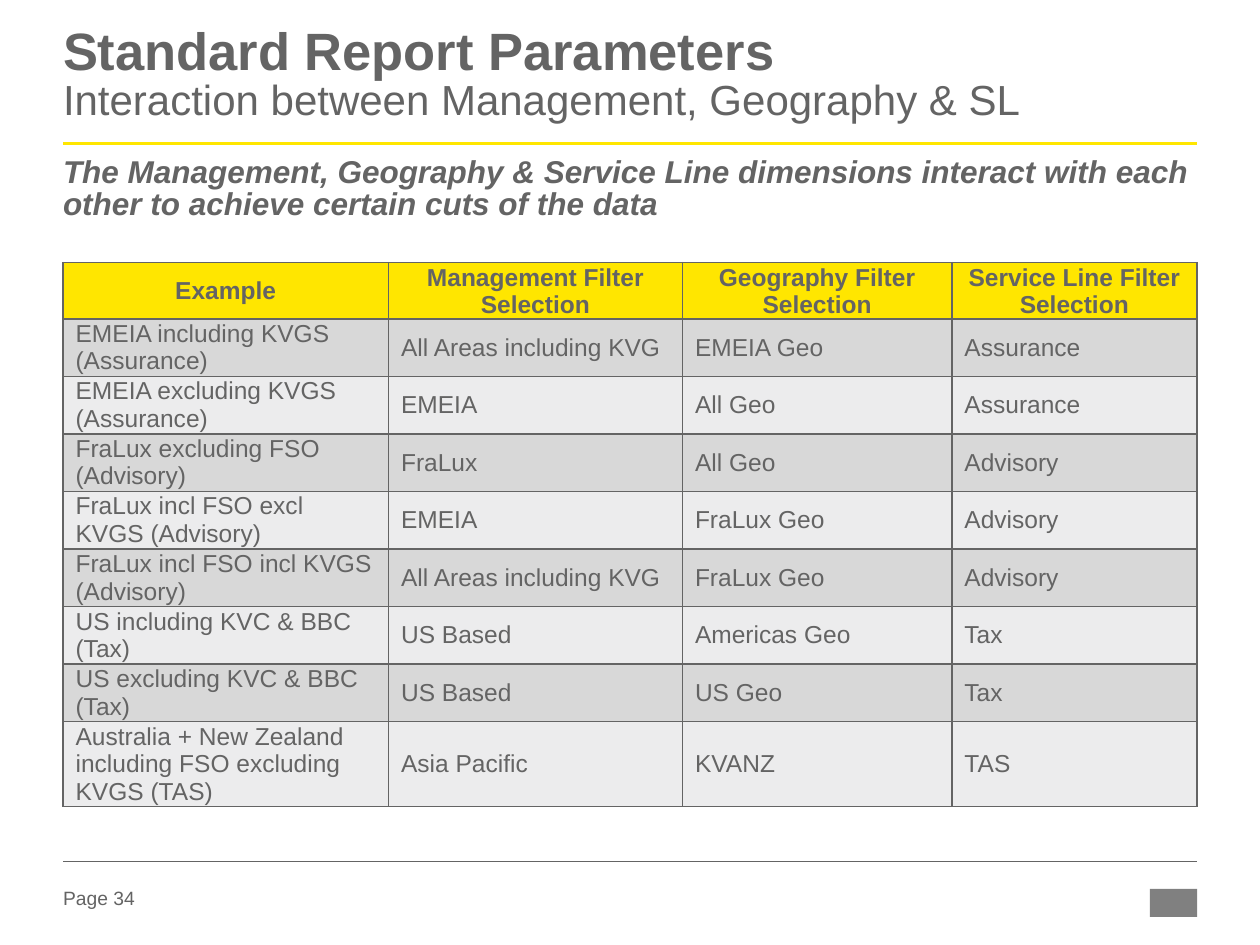
from lxml.etree import SubElement
from pptx import Presentation
from pptx.dml.color import RGBColor
from pptx.enum.shapes import MSO_CONNECTOR, MSO_SHAPE
from pptx.enum.text import MSO_ANCHOR, MSO_AUTO_SIZE, PP_ALIGN
from pptx.oxml.ns import qn
from pptx.util import Pt

COLORS = {
    "text": "646464",
    "accent": "FFE600",
    "dark": "D8D8D8",
    "light": "ECECED",
    "mark": "808080",
}
LEFT, WIDTH = 36, 648
COLS = [186, 168, 154, 140]
HEAD_H, ROW_H, LAST_H = 32, 32.9, 48.6

HEADS = ["Example", "Management Filter Selection",
         "Geography Filter Selection", "Service Line Filter Selection"]
ROWS = [
    ["EMEIA including KVGS (Assurance)", "All Areas including KVG", "EMEIA Geo", "Assurance"],
    ["EMEIA excluding KVGS (Assurance)", "EMEIA", "All Geo", "Assurance"],
    ["FraLux excluding FSO (Advisory)", "FraLux", "All Geo", "Advisory"],
    ["FraLux incl FSO excl KVGS (Advisory)", "EMEIA", "FraLux Geo", "Advisory"],
    ["FraLux incl FSO incl KVGS (Advisory)", "All Areas including KVG", "FraLux Geo", "Advisory"],
    ["US including KVC & BBC (Tax)", "US Based", "Americas Geo", "Tax"],
    ["US excluding KVC & BBC (Tax)", "US Based", "US Geo", "Tax"],
    ["Australia + New Zealand including FSO excluding KVGS (TAS)",
     "Asia Pacific", "KVANZ", "TAS"],
]


def color(name):
    return RGBColor.from_string(COLORS[name])


def style(font, size, bold=False, italic=False):
    font.name = "Arial"
    font.size = Pt(size)
    font.bold = bold
    font.italic = italic
    font.color.rgb = color("text")


def place(shape, top, height, width=WIDTH, anchor=MSO_ANCHOR.TOP):
    """Put a text shape at the left margin, without insets."""
    shape.left, shape.top = Pt(LEFT), Pt(top)
    shape.width, shape.height = Pt(width), Pt(height)
    frame = shape.text_frame
    frame.margin_left = frame.margin_right = 0
    frame.margin_top = frame.margin_bottom = 0
    frame.auto_size = MSO_AUTO_SIZE.NONE
    frame.word_wrap = True
    frame.vertical_anchor = anchor
    return frame.paragraphs[0]


def add_title(slide):
    para = place(slide.shapes.title, 16, 67)
    para.alignment = PP_ALIGN.LEFT
    para.line_spacing = 0.85
    run = para.add_run()
    run.text = "Standard Report Parameters"
    style(run.font, 30, bold=True)
    para.add_line_break()
    run = para.add_run()
    run.text = "Interaction between Management, Geography & SL"
    style(run.font, 24)


def add_lead(slide):
    para = place(slide.placeholders[1], 90, 42)
    para.text = ("The Management, Geography & Service Line dimensions interact "
                 "with each other to achieve certain cuts of the data")
    para.line_spacing = 0.85
    para.space_before, para.space_after = Pt(0), Pt(6)
    props = para._p.get_or_add_pPr()
    props.set("marL", "0")
    props.set("indent", "0")
    SubElement(props, qn("a:buNone"))
    style(para.font, 18, bold=True, italic=True)


def add_rule(slide, top, name, weight):
    line = slide.shapes.add_connector(
        MSO_CONNECTOR.STRAIGHT, Pt(LEFT), Pt(top), Pt(LEFT + WIDTH), Pt(top))
    line.line.color.rgb = color(name)
    line.line.width = Pt(weight)
    SubElement(line._element.spPr, qn("a:effectLst"))


def add_edges(cell):
    props = cell._tc.get_or_add_tcPr()
    for side in "LRTB":
        edge = SubElement(props, qn(f"a:ln{side}"), w=str(Pt(1)))
        fill = SubElement(edge, qn("a:solidFill"))
        SubElement(fill, qn("a:srgbClr"), val=COLORS["text"])


def fill_cell(cell, text, fill, head):
    add_edges(cell)
    cell.fill.solid()
    cell.fill.fore_color.rgb = color(fill)
    cell.vertical_anchor = MSO_ANCHOR.MIDDLE
    cell.margin_left = cell.margin_right = Pt(0.7 if head else 7.2)
    cell.margin_top = Pt(0.7)
    cell.margin_bottom = Pt(0 if head else 0.7)
    para = cell.text_frame.paragraphs[0]
    para.text = text
    para.alignment = PP_ALIGN.CENTER if head else PP_ALIGN.LEFT
    style(para.font, 14, bold=head)


def add_grid(slide):
    heights = [HEAD_H] + [ROW_H] * (len(ROWS) - 1) + [LAST_H]
    table = slide.shapes.add_table(
        len(heights), len(COLS), Pt(LEFT), Pt(150), Pt(WIDTH), Pt(sum(heights))).table
    for col, width in zip(table.columns, COLS):
        col.width = Pt(width)
    for row, height in zip(table.rows, heights):
        row.height = Pt(height)
    for r, texts in enumerate([HEADS] + ROWS):
        fill = "accent" if r == 0 else ("light", "dark")[r % 2]
        for c, text in enumerate(texts):
            fill_cell(table.cell(r, c), text, fill, r == 0)


def add_foot(slide):
    box = slide.shapes.add_textbox(0, 0, 0, 0)
    para = place(box, 505, 16, width=57, anchor=MSO_ANCHOR.MIDDLE)
    para.text = "Page 34"
    style(para.font, 11)
    # Plain block in the logo's place
    mark = slide.shapes.add_shape(
        MSO_SHAPE.RECTANGLE, Pt(657), Pt(508), Pt(27), Pt(16))
    mark.shadow.inherit = False
    mark.fill.solid()
    mark.fill.fore_color.rgb = color("mark")
    mark.line.fill.background()


def main():
    deck = Presentation()
    deck.slide_width, deck.slide_height = Pt(720), Pt(540)
    slide = deck.slides.add_slide(deck.slide_layouts[1])
    # Footer and rules
    add_foot(slide)
    add_rule(slide, 82, "accent", 1.5)
    add_rule(slide, 492, "text", 0.25)
    # Heading and content
    add_title(slide)
    add_lead(slide)
    add_grid(slide)
    deck.save("out.pptx")


if __name__ == "__main__":
    main()
